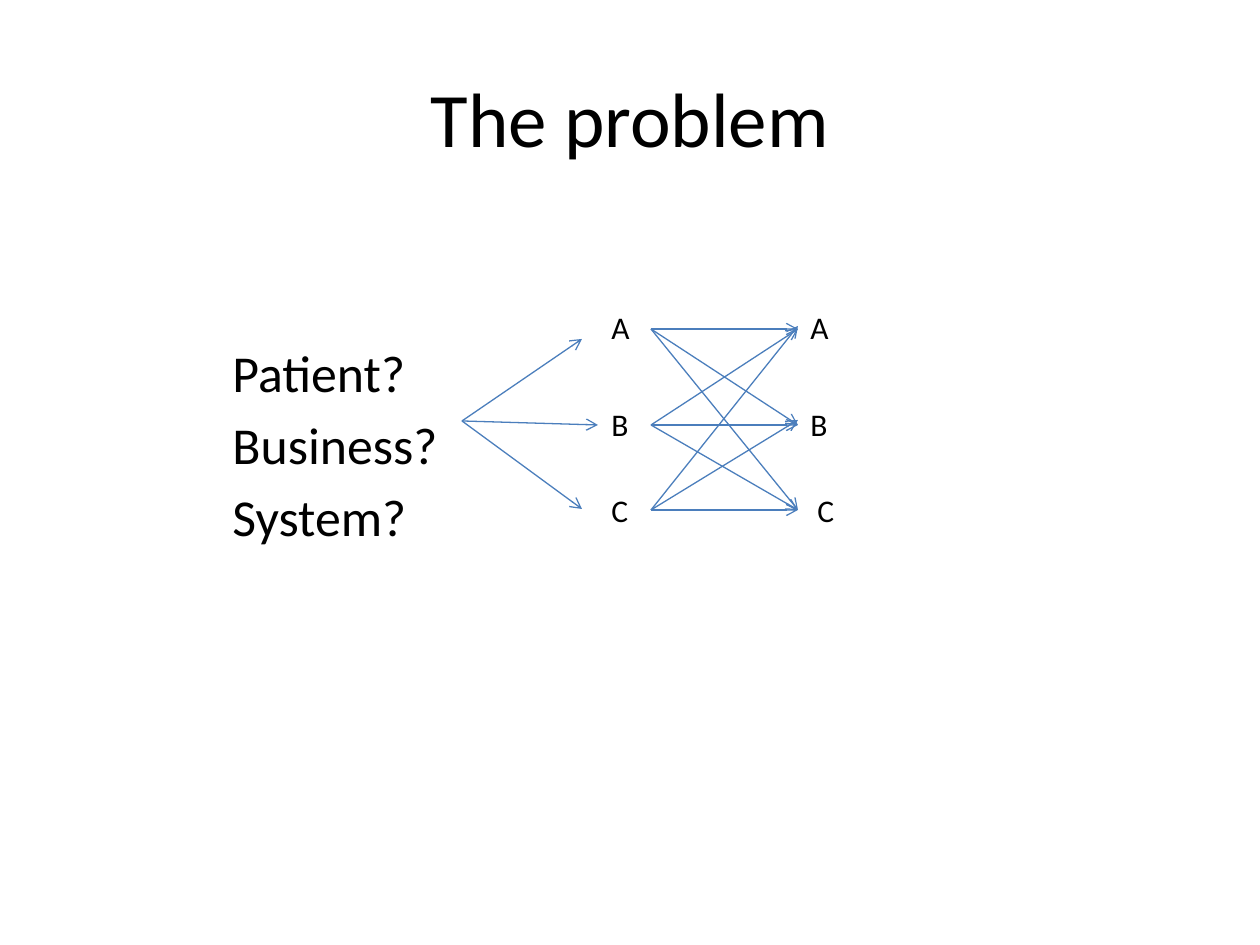
from dataclasses import dataclass
from lxml.etree import SubElement
from pptx import Presentation
from pptx.dml.color import RGBColor
from pptx.enum.shapes import MSO_CONNECTOR
from pptx.enum.text import MSO_ANCHOR, PP_ALIGN
from pptx.oxml.ns import qn
from pptx.util import Emu, Pt


@dataclass
class Theme:
    font: str = "Calibri"
    ink: RGBColor = RGBColor(0, 0, 0)
    line: RGBColor = RGBColor(0x4B, 0x7E, 0xBC)
    title: float = 44
    body: float = 29.6
    label: float = 18


theme = Theme()
SCALE = 914400 / 126


def px(*vals):
    return [Emu(round(v * SCALE)) for v in vals]


def write(par, text, size):
    run = par.add_run()
    run.text = text
    run.font.name = theme.font
    run.font.size = Pt(size)
    run.font.color.rgb = theme.ink


deck = Presentation()
deck.slide_width, deck.slide_height = px(1260, 945)
slide = deck.slides.add_slide(deck.slide_layouts[5])
shapes = slide.shapes

# Title
title = shapes.title
title.left, title.top, title.width, title.height = px(63, 38, 1134, 157)
title.text_frame.vertical_anchor = MSO_ANCHOR.MIDDLE
par = title.text_frame.paragraphs[0]
par.alignment = PP_ALIGN.CENTER
write(par, "The problem", theme.title)

# Questions
frame = shapes.add_textbox(*px(220, 258, 310, 253)).text_frame
frame.word_wrap = True
frame.margin_top = px(83)[0]
for i, text in enumerate(["Patient?", "Business?", "System?"]):
    par = frame.add_paragraph() if i else frame.paragraphs[0]
    if i:
        par.space_before = Pt(5.5)
    write(par, text, theme.body)

# Two columns of options
tops = [302, 399, 485]
for left, names in [(599, ["A", "B", "C"]), (798, ["A", "B", " C"])]:
    for top, name in zip(tops, names):
        frame = shapes.add_textbox(*px(left, top, 53, 50)).text_frame
        frame.word_wrap = True
        write(frame.paragraphs[0], name, theme.label)

# Arrows: questions to the first column, then every option to every option
arrows = [(462, 421, x, y) for x, y in [(582, 339), (598, 425), (582, 509)]]
goals = {329: [329, 425, 510], 425: [329, 425, 510], 510: [326, 420, 510]}
for start, ends in goals.items():
    arrows += [(651, start, 798, end) for end in ends]

for arrow in arrows:
    link = shapes.add_connector(MSO_CONNECTOR.STRAIGHT, *px(*arrow))
    link.line.color.rgb = theme.line
    link.line.width = Pt(0.75)
    SubElement(link.line._get_or_add_ln(), qn("a:tailEnd"), type="arrow")
    SubElement(link._element.spPr, qn("a:effectLst"))

deck.save("out.pptx")
